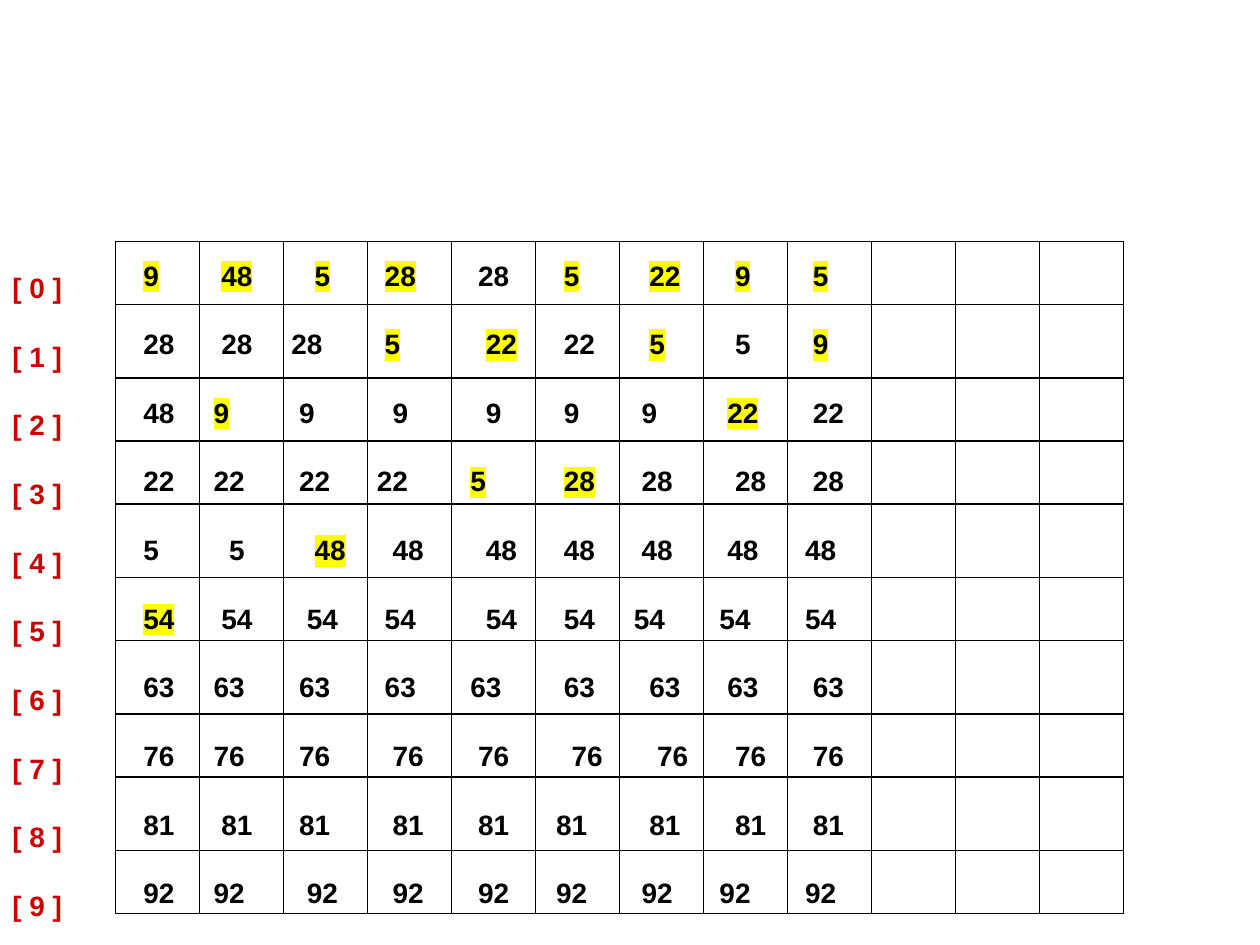
from lxml import etree
from pptx import Presentation
from pptx.dml.color import RGBColor
from pptx.enum.shapes import MSO_CONNECTOR, MSO_SHAPE
from pptx.oxml.ns import qn
from pptx.util import Inches, Pt

LINE = MSO_CONNECTOR.STRAIGHT
RECT = MSO_SHAPE.RECTANGLE
THEME = {
    "ink": RGBColor.from_string("000000"),
    "label": RGBColor.from_string("CC0000"),
    "mark": "FFFF00",
    "rule": Pt(1),
    "after": Pt(20),
    "font": {"name": "Arial", "size": Pt(16), "bold": True},
}

# Grid in twelfths of an inch
UNIT = Inches(1) // 12
LEFT, TOP = 11 * UNIT, 23 * UNIT
COLS, WIDE, HIGH = 12, 8 * UNIT, 64 * UNIT
RULES = (6, 13, 19, 25, 32, 38, 45, 51, 58)

# Width of a space; a digit is two spaces wide
SPACE = Pt(16) * 0.278

# Each row: values (* = marked) and the gaps between them, in spaces
ROWS = (
    ("9* 48* 5* 28* 28 5* 22* 9* 5*", (8, 8, 7, 8, 7, 9, 7, 8)),
    ("28 28 28 5* 22* 22 5* 5 9*", (6, 5, 8, 11, 6, 7, 9, 8)),
    ("48 9* 9 9 9 9 9 22* 22", (5, 9, 10, 10, 8, 8, 9, 7)),
    ("22 22 22 22 5* 28* 28 28 28", (5, 7, 6, 8, 10, 6, 8, 6)),
    ("5 5 48* 48 48 48 48 48 48", (9, 9, 6, 8, 6, 6, 7, 6)),
    ("54* 54 54 54 54 54 54 54 54", (6, 7, 6, 9, 6, 5, 7, 7)),
    ("63 63 63 63 63 63 63 63 63", (5, 7, 7, 7, 8, 7, 6, 7)),
    ("76 76 76 76 76 76 76 76 76", (5, 7, 8, 7, 8, 7, 6, 6)),
    ("81 81 81 81 81 81 81 81 81", (6, 6, 8, 7, 6, 8, 7, 6)),
    ("92 92 92 92 92 92 92 92 92", (5, 8, 7, 7, 6, 7, 6, 7)),
)


def add_run(para, text, color, mark=False):
    run = para.add_run()
    run.text = text
    for key, value in THEME["font"].items():
        setattr(run.font, key, value)
    run.font.color.rgb = color
    if mark:
        light = etree.Element(qn("a:highlight"))
        etree.SubElement(light, qn("a:srgbClr"), val=THEME["mark"])
        run.font._element.find(qn("a:solidFill")).addnext(light)


def add_list(left, top, width, height, wrap):
    """Add a text box with one spaced paragraph per row; return the paragraphs."""
    box = slide.shapes.add_textbox(*map(Inches, (left, top, width, height)))
    frame = box.text_frame
    frame.word_wrap = wrap
    for _ in ROWS[1:]:
        frame.add_paragraph()
    for para in frame.paragraphs:
        para.space_after = THEME["after"]
    return frame.paragraphs


deck = Presentation()
deck.slide_width, deck.slide_height = Inches(10), Inches(7.5)
slide = deck.slides.add_slide(deck.slide_layouts[6])

for col in range(COLS):
    x = LEFT + col * WIDE
    group = slide.shapes.add_group_shape()
    frame = group.shapes.add_shape(RECT, x, TOP, WIDE, HIGH)
    frame.shadow.inherit = False
    frame.fill.background()
    parts = [frame]
    for step in RULES:
        y = TOP + step * UNIT
        rule = group.shapes.add_connector(LINE, x, y, x + WIDE, y)
        etree.SubElement(rule._element.spPr, qn("a:effectLst"))
        parts.append(rule)
    for part in parts:
        part.line.color.rgb = THEME["ink"]
        part.line.width = THEME["rule"]

for num, para in enumerate(add_list(0, 2.1, 0.6, 5.18, False)):
    add_run(para, f"[ {num} ]", THEME["label"])

for para, (line, gaps) in zip(add_list(1.04, 2, 8.92, 5.22, True), ROWS):
    tabs = etree.SubElement(para._p.get_or_add_pPr(), qn("a:tabLst"))
    stop = 0
    for word, gap in zip(line.split(), (0, *gaps)):
        text = word.rstrip("*")
        if gap:
            stop += gap
            etree.SubElement(tabs, qn("a:tab"), pos=str(round(stop * SPACE)), algn="l")
            add_run(para, "\t", THEME["ink"])
        add_run(para, text, THEME["ink"], text != word)
        stop += 2 * len(text)

deck.save("out.pptx")
